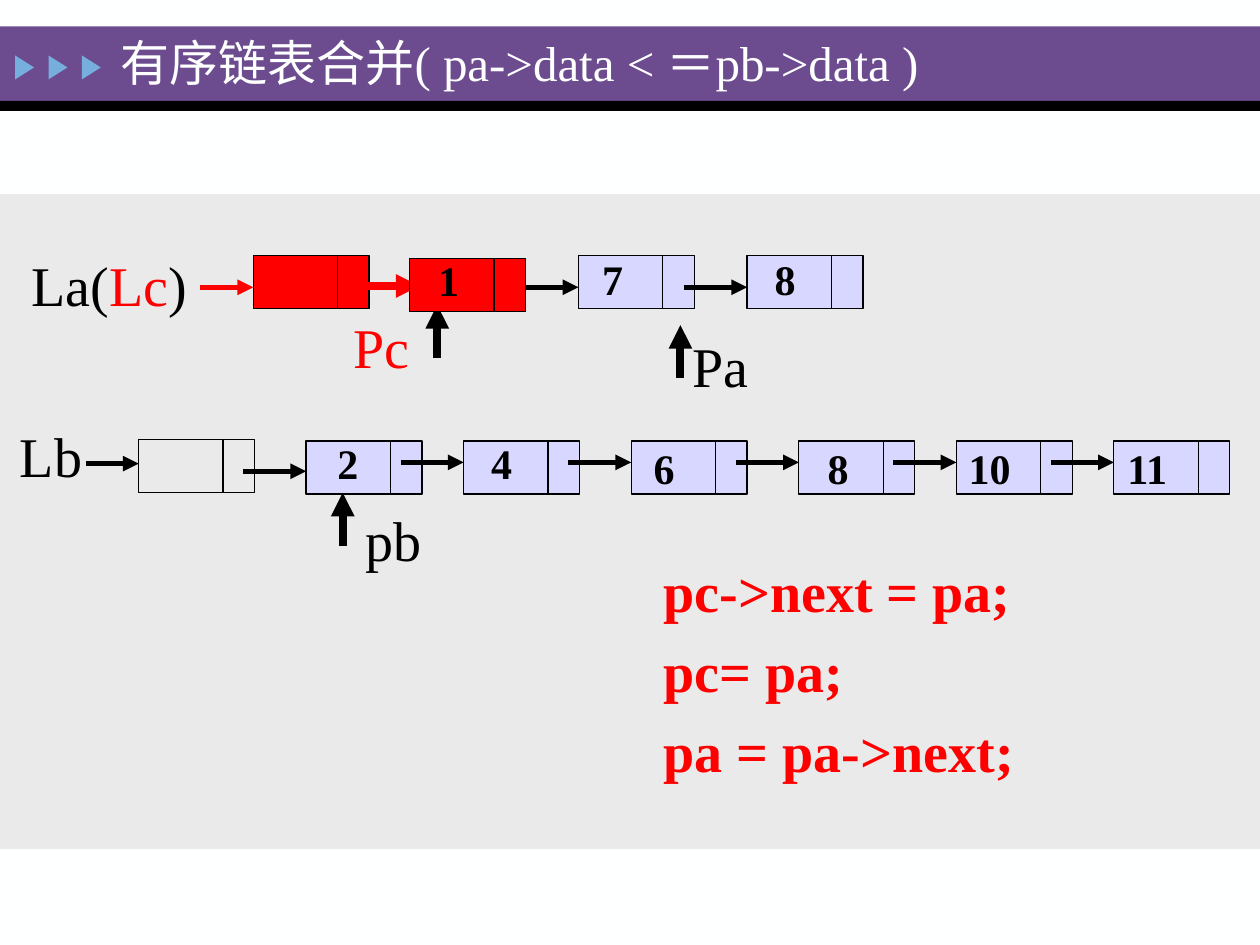
import pptx
import pptx.dml.color
import pptx.enum.shapes
import pptx.enum.text
import pptx.oxml.ns
import pptx.util
from lxml import etree
from pptx.util import Inches

FONT = "Times New Roman"
LILAC, RED, BLACK, WHITE = "D7D7FF", "FF0000", "000000", "FEFFFF"
SHAPE = pptx.enum.shapes.MSO_SHAPE


def rgb(value):
    """Turn a hex string into a colour."""
    return pptx.dml.color.RGBColor.from_string(value)


def add_block(shapes, box, fill=None, line=None, kind=SHAPE.RECTANGLE):
    """Add a preset shape with an optional fill and thin outline."""
    sp = shapes.add_shape(kind, *map(Inches, box))
    sp.shadow.inherit = False
    if fill:
        sp.fill.solid()
        sp.fill.fore_color.rgb = rgb(fill)
    else:
        sp.fill.background()
    if line:
        sp.line.color.rgb = rgb(line)
        sp.line.width = pptx.util.Pt(0.75)
    else:
        sp.line.fill.background()
    return sp


def add_arrow(s, start, end, color=BLACK, width=3):
    """Add a straight arrow with a triangular head at its end."""
    c = s.shapes.add_connector(pptx.enum.shapes.MSO_CONNECTOR.STRAIGHT,
                               *map(Inches, start + end))
    c.line.color.rgb = rgb(color)
    c.line.width = pptx.util.Pt(width)
    qn = pptx.oxml.ns.qn
    etree.SubElement(c.line._get_or_add_ln(), qn("a:tailEnd"), type="triangle")
    etree.SubElement(c._element.spPr, qn("a:effectLst"))


def add_label(s, box, runs, size=32, bold=False, wrap=True):
    """Add a text box from (text, colour) runs."""
    tf = s.shapes.add_textbox(*map(Inches, box)).text_frame
    tf.word_wrap = wrap
    tf.auto_size = pptx.enum.text.MSO_AUTO_SIZE.SHAPE_TO_FIT_TEXT
    for text, color in runs:
        r = tf.paragraphs[0].add_run()
        r.text = text
        r.font.name = FONT
        r.font.size = pptx.util.Pt(size)
        r.font.bold = bold
        r.font.color.rgb = rgb(color)


def add_node(s, left, top, fill=None, value="", dx=0.0, dy=0.0):
    """Add a list node: a data cell, a pointer cell and its value."""
    cells = s.shapes.add_group_shape().shapes
    add_block(cells, (left, top, 0.67, 0.42), fill, BLACK)
    add_block(cells, (left + 0.67, top, 0.25, 0.42), fill, BLACK)
    if value:
        width = 0.37 if len(value) == 1 else 0.54
        add_label(s, (left + dx, top + dy, width, 0.51), [(value, BLACK)],
                  24, True, False)


def add_chain(s, top, link_y, nodes):
    """Add a row of linked nodes, each entered by an arrow from the left."""
    for left, value, dx, dy in nodes:
        add_node(s, left, top, LILAC, value, dx, dy)
    for left, *_ in nodes:
        add_arrow(s, (left - 0.5, link_y), (left, link_y))


def add_pointer(s, left, top):
    """Add a thick upward arrow marking a node."""
    add_arrow(s, (left, top + 0.42), (left, top), BLACK, 4.5)


def add_header(s, box, title):
    """Add the title band with its rule, markers and title."""
    left, top, width, height = box
    add_block(s.shapes, box, "6C4C8F")
    add_block(s.shapes, (left, top + height, width, 0.08), BLACK)
    for i in range(3):
        sp = add_block(s.shapes, (left + 0.1 + 0.265 * i, top + 0.25, 0.19, 0.15),
                       "76AEDD", kind=SHAPE.ISOSCELES_TRIANGLE)
        sp.rotation = 90
    t = s.shapes.title
    t.left, t.top, t.width, t.height = map(Inches, (left + 0.86, top, 8.53, 0.56))
    s.shapes._spTree.append(t._element)
    tf = t.text_frame
    tf.text = title
    tf.vertical_anchor = pptx.enum.text.MSO_ANCHOR.MIDDLE
    p = tf.paragraphs[0]
    p.alignment = pptx.enum.text.PP_ALIGN.LEFT
    r = p.runs[0]
    r.font.name = FONT
    r.font.size = pptx.util.Pt(28)
    r.font.color.rgb = rgb(WHITE)


def add_list_a(s, left, top):
    """Add list La, which grows into the merged list Lc."""
    y = top + 0.25
    add_label(s, (left, top - 0.09, 1.61, 0.63),
              [("La(", BLACK), ("Lc", RED), (")", BLACK)])
    add_arrow(s, (left + 1.44, y), (left + 1.86, y), RED)
    add_node(s, left + 1.86, top, RED)
    add_arrow(s, (left + 2.68, y - 0.01), (left + 3.18, y - 0.01), RED, 4.5)
    add_chain(s, top, y, [(left + 4.44, "7", 0.09, -0.07),
                          (left + 5.78, "8", 0.12, -0.07)])
    add_pointer(s, left + 3.32, top + 0.39)
    add_node(s, left + 3.1, top + 0.02, RED, "1", 0.13, -0.08)
    add_label(s, (left + 2.56, top + 0.4, 0.95, 0.63), [("Pc", RED)])
    add_pointer(s, left + 5.25, top + 0.55)
    add_label(s, (left + 5.25, top + 0.55, 0.79, 0.63), [("Pa", BLACK)])


def add_list_b(s, left, top):
    """Add list Lb with its head node and the pb pointer."""
    y = top + 0.17
    add_label(s, (left, top - 0.2, 0.7, 0.64), [("Lb", BLACK)], wrap=False)
    add_arrow(s, (left + 0.62, y + 0.01), (left + 1.04, y + 0.01))
    add_node(s, left + 1.04, top - 0.01)
    add_node(s, left + 2.37, top, LILAC, "2", 0.15, -0.08)
    add_arrow(s, (left + 1.87, top + 0.24), (left + 2.37, top + 0.24))
    add_chain(s, top, y, [(left + 3.62, "4", 0.12, -0.08),
                          (left + 4.95, "6", 0.08, -0.04),
                          (left + 6.28, "8", 0.13, -0.04),
                          (left + 7.53, "10", 0, -0.04),
                          (left + 8.78, "11", 0.01, -0.04)])
    add_pointer(s, left + 2.66, top + 0.41)
    add_label(s, (left + 2.74, top + 0.46, 0.65, 0.64), [("pb", BLACK)], wrap=False)


def add_steps(s, left, top, steps):
    """Add the pointer assignments as evenly spaced lines."""
    for i, step in enumerate(steps):
        add_label(s, (left, top + 0.635 * i, 4.03, 0.63), [(step, RED)], bold=True)


def main():
    """Build the slide and save it."""
    prs = pptx.Presentation()
    prs.slide_width, prs.slide_height = Inches(10), Inches(7.5)
    s = prs.slides.add_slide(prs.slide_layouts[5])
    s.background.fill.solid()
    s.background.fill.fore_color.rgb = rgb(WHITE)
    add_header(s, (0, 0.21, 10, 0.59), "有序链表合并( pa->data < ＝pb->data )")
    add_block(s.shapes, (0, 1.54, 10, 5.2), "EAEAEA")
    add_list_a(s, 0.15, 2.03)
    add_list_b(s, 0.06, 3.5)
    add_steps(s, 5.17, 4.37, ["pc->next = pa;", "pc= pa;", "pa = pa->next;"])
    prs.save("out.pptx")


if __name__ == "__main__":
    main()
